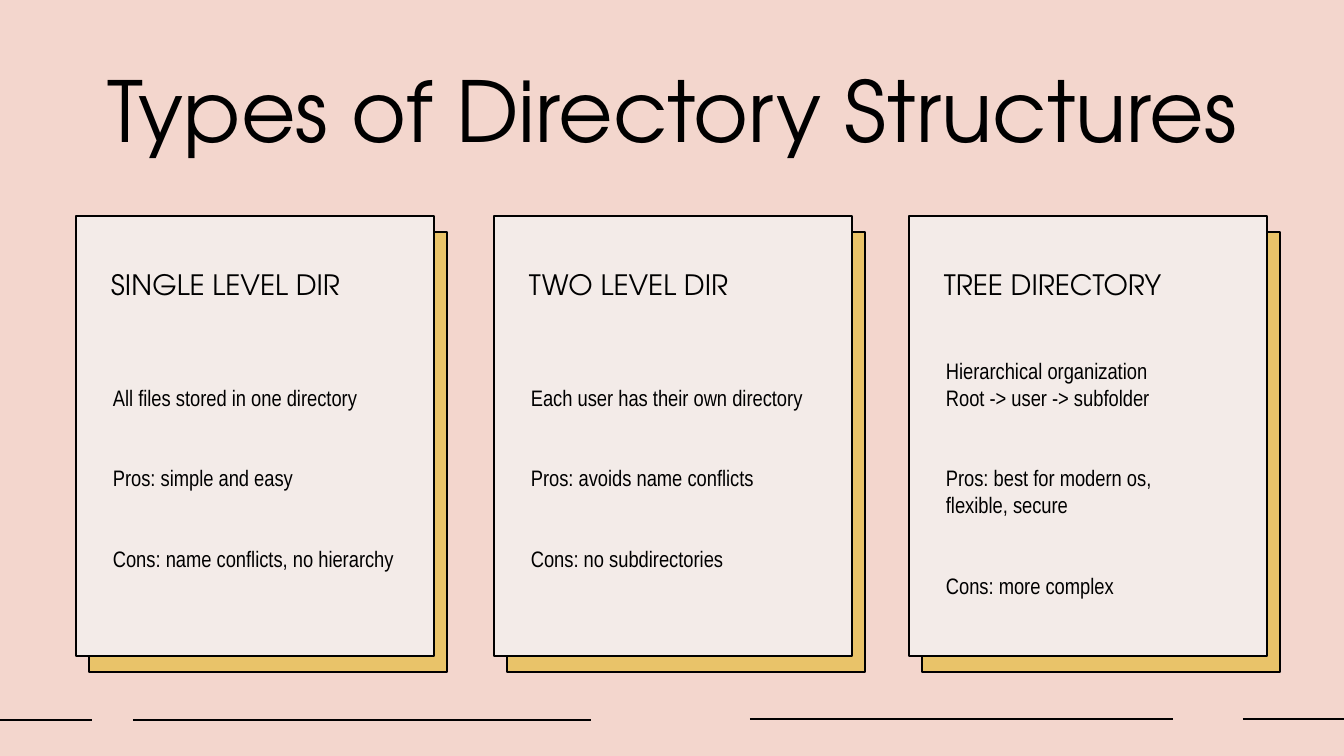
from dataclasses import dataclass

from lxml import etree
from pptx import Presentation
from pptx.dml.color import RGBColor
from pptx.enum.shapes import MSO_CONNECTOR, MSO_SHAPE
from pptx.enum.text import MSO_ANCHOR, MSO_AUTO_SIZE, PP_ALIGN
from pptx.oxml.ns import qn
from pptx.util import Emu, Pt

RECTANGLE = MSO_SHAPE.RECTANGLE
STRAIGHT = MSO_CONNECTOR.STRAIGHT
TOP, MIDDLE = MSO_ANCHOR.TOP, MSO_ANCHOR.MIDDLE
LEFT, CENTER = PP_ALIGN.LEFT, PP_ALIGN.CENTER
NO_AUTOFIT = MSO_AUTO_SIZE.NONE
PX = 914400 / 100.8


@dataclass(frozen=True)
class Theme:
    background: RGBColor = RGBColor.from_string("F3D6CD")
    card: RGBColor = RGBColor.from_string("F3EBE8")
    backing: RGBColor = RGBColor.from_string("E9C369")
    ink: RGBColor = RGBColor.from_string("000000")
    display_font: str = "TeX Gyre Adventor"
    body_font: str = "Arial Narrow"
    title_size: int = 60
    heading_size: int = 20
    body_size: int = 16


THEME = Theme()


def px(*lengths):
    return [Emu(round(length * PX)) for length in lengths]


def add_text(paragraph, text, font_name, size):
    for index, line in enumerate(text.split("\n")):
        if index:
            paragraph.add_line_break()
        run = paragraph.add_run()
        run.text = line
        run.font.name = font_name
        run.font.size = Pt(size)
        run.font.color.rgb = THEME.ink


presentation = Presentation()
presentation.slide_width, presentation.slide_height = px(1344, 756)
slide = presentation.slides.add_slide(presentation.slide_layouts[5])
slide.background.fill.solid()
slide.background.fill.fore_color.rgb = THEME.background

# Broken rule along the foot
for start, end, y in [(0, 92, 720), (133, 591, 720), (750, 1173, 719), (1243, 1344, 719)]:
    rule = slide.shapes.add_connector(STRAIGHT, *px(start, y, end, y))
    rule.line.color.rgb = THEME.ink
    rule.line.width = Pt(1)
    etree.SubElement(rule._element.spPr, qn("a:effectLst"))

# Title
title = slide.shapes.title
title.left, title.top, title.width, title.height = px(41, 53, 1262, 112)
title.text_frame.auto_size = NO_AUTOFIT
title.text_frame.vertical_anchor = MIDDLE
title_paragraph = title.text_frame.paragraphs[0]
title_paragraph.alignment = CENTER
add_text(title_paragraph, "Types of Directory Structures", THEME.display_font, THEME.title_size)

# Cards: left edge, heading, first text line's inset, notes
CARD_TOP, CARD_WIDTH, CARD_HEIGHT = 216, 358, 440
BACKING_X, BACKING_Y = 13, 16
CARDS = [
    (76, "SINGLE LEVEL DIR", 59, [
        "All files stored in one directory",
        "Pros: simple and easy",
        "Cons: name conflicts, no hierarchy",
    ]),
    (494, "TWO LEVEL DIR", 59, [
        "Each user has their own directory",
        "Pros: avoids name conflicts",
        "Cons: no subdirectories",
    ]),
    (909, "TREE DIRECTORY", 32, [
        "Hierarchical organization\nRoot -> user -> subfolder",
        "Pros: best for modern os,\nflexible, secure",
        "Cons: more complex",
    ]),
]

for card_left, heading, notes_inset, notes in CARDS:
    # Backing panel, then the card in front of it
    for offset_x, offset_y, color in [(BACKING_X, BACKING_Y, THEME.backing), (0, 0, THEME.card)]:
        card = slide.shapes.add_shape(
            RECTANGLE, *px(card_left + offset_x, CARD_TOP + offset_y, CARD_WIDTH, CARD_HEIGHT))
        card.shadow.inherit = False
        card.fill.solid()
        card.fill.fore_color.rgb = color
        card.line.color.rgb = THEME.ink
        card.line.width = Pt(2)

    # Heading inside the card
    frame = card.text_frame
    frame.word_wrap = True
    frame.vertical_anchor = TOP
    frame.margin_left, frame.margin_top = px(35, 55)
    paragraph = frame.paragraphs[0]
    paragraph.alignment = LEFT
    paragraph.line_spacing = 0.9
    add_text(paragraph, heading, THEME.display_font, THEME.heading_size)

    # Notes, two line heights apart
    notes_box = slide.shapes.add_textbox(*px(card_left + 27, 325, 302, 307))
    frame = notes_box.text_frame
    frame.word_wrap = True
    frame.margin_top = px(notes_inset)[0]
    for index, note in enumerate(notes):
        paragraph = frame.add_paragraph() if index else frame.paragraphs[0]
        paragraph.space_before = Pt(38.4 if index else 0)
        add_text(paragraph, note, THEME.body_font, THEME.body_size)

presentation.save("out.pptx")
